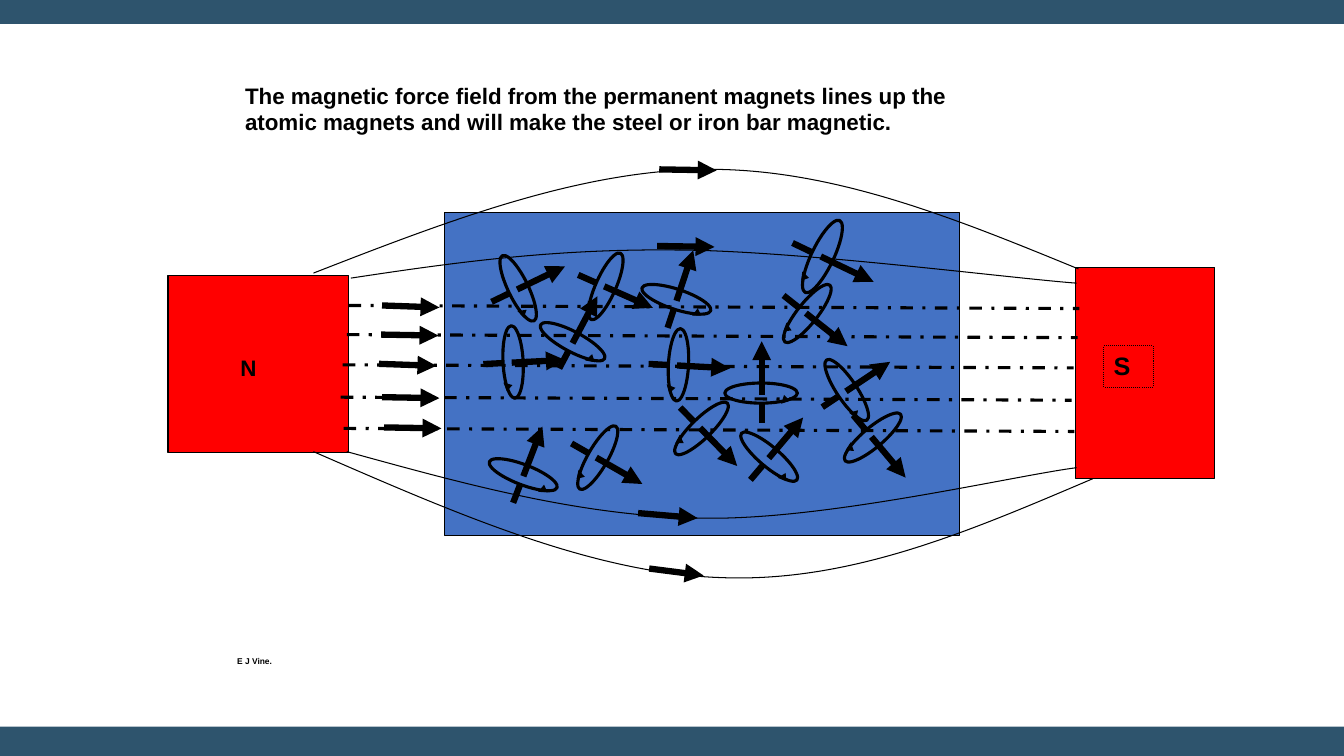
from dataclasses import dataclass
from math import cos, radians, sin

from lxml import etree
from pptx import Presentation
from pptx.dml.color import RGBColor
from pptx.enum.dml import MSO_LINE
from pptx.enum.shapes import MSO_CONNECTOR, MSO_SHAPE
from pptx.enum.text import MSO_ANCHOR, MSO_AUTO_SIZE, PP_ALIGN
from pptx.oxml.ns import qn
from pptx.util import Pt

RECT, OVAL = MSO_SHAPE.RECTANGLE, MSO_SHAPE.OVAL
STRAIGHT = MSO_CONNECTOR.STRAIGHT
DASH_DOT, DOTTED = MSO_LINE.DASH_DOT, MSO_LINE.ROUND_DOT
TOP, LEFT, NO_FIT = MSO_ANCHOR.TOP, PP_ALIGN.LEFT, MSO_AUTO_SIZE.NONE


@dataclass(frozen=True)
class Theme:
    """Colours, font, type sizes and line widths, in points."""
    ink: RGBColor = RGBColor(0, 0, 0)
    paper: RGBColor = RGBColor(0xFF, 0xFF, 0xFF)
    band: RGBColor = RGBColor(0x2E, 0x54, 0x6D)
    iron: RGBColor = RGBColor(0x44, 0x72, 0xC4)
    magnet: RGBColor = RGBColor(0xFF, 0, 0)
    font: str = "Arial"
    title: float = 16
    north: float = 16
    south: float = 18
    credit: float = 6
    thin: float = 0.75
    medium: float = 2.25
    thick: float = 4.5


T = Theme()

ATOMS = [
    (115.2, 52.5, 23.8, 1), (91.5, 92.1, -62.1, 1), (49, 106.5, -2.9, 1),
    (165.6, 61.8, -71.7, 1), (167.1, 108.6, 3.1, 1), (183.6, 154, 45.7, 1),
    (259.2, 71.9, 38.4, 1), (226.1, 128.8, -90, 1), (231.9, 174.2, -49.8, 1),
    (52.6, 53.9, -25.8, 1), (56.2, 187.1, -69, 1), (109.5, 174.9, 29.8, 1),
    (287.3, 126.6, -33.7, 1), (306, 160.5, 50, 1), (270, 31.2, 25.6, 1.1),
]
FIELD_ROWS = [(24.8, 140.6), (23.4, 163.7), (25.5, 186), (27.7, 119), (29, 98.2)]
FIELD_CURVES = [
    [(30.6, 78.7), (101.8, 67.9), (173.8, 57.8), (260.2, 58.6),
     (346.6, 58.6), (500.7, 78.7), (549, 82.3)],
    [(3.9, 75.1), (98.2, 38.4), (193.3, 1.7), (284, 1),
     (374.7, 0.2), (462.6, 36.2), (550.4, 72.2)],
    [(27.7, 202.6), (111.2, 225.6), (194, 248.6), (280.4, 250.1),
     (367.5, 252.2), (504.3, 219.8), (549, 214.1)],
    [(3.9, 202.6), (103.3, 245.8), (202.6, 289.7), (295.5, 292.6),
     (388.4, 296.2), (474.1, 258.7), (560.5, 222)],
]
FIELD_ARROWS = [
    (243.7, 286.1, 38.9, 5), (235.8, 246.5, 42.5, 3.6),
    (54.3, 185.3, 41, 0.7), (52.9, 163.7, 41, 0.7), (50.7, 139.9, 41, 1.4),
    (52.2, 119, 41, 0.7), (52.9, 98.2, 41, 1.4),
    (250.9, 1, 41, 0.7), (249.4, 55.7, 41, 0.7),
]


def add_box(shapes, kind, box, fill=None, line=None):
    """Add a preset shape with an optional fill and outline width."""
    sp = shapes.add_shape(kind, *map(Pt, box))
    sp.shadow.inherit = False
    if fill is None:
        sp.fill.background()
    else:
        sp.fill.solid()
        sp.fill.fore_color.rgb = fill
    if line is None:
        sp.line.fill.background()
    else:
        sp.line.color.rgb = T.ink
        sp.line.width = Pt(line)
    return sp


def add_line(shapes, start, end, width, arrow=False, dash=None):
    """Add a straight line, with an arrowhead or a dash if asked."""
    cn = shapes.add_connector(STRAIGHT, *map(Pt, (*start, *end)))
    cn.line.color.rgb = T.ink
    cn.line.width = Pt(width)
    if dash is not None:
        cn.line.dash_style = dash
    if arrow:
        ln = cn._element.spPr.find(qn("a:ln"))
        etree.SubElement(ln, qn("a:tailEnd"), type="triangle")
    etree.SubElement(cn._element.spPr, qn("a:effectLst"))


def write(sp, text, size):
    """Write one bold run at the top left of a shape."""
    tf = sp.text_frame
    tf.word_wrap = True
    tf.auto_size = NO_FIT
    tf.vertical_anchor = TOP
    p = tf.paragraphs[0]
    p.alignment = LEFT
    p.space_before = Pt(0)
    r = p.add_run()
    r.text = text
    r.font.name, r.font.size, r.font.bold = T.font, Pt(size), True
    r.font.color.rgb = T.ink


def add_text(s, box, text, size):
    """Add a text box."""
    write(s.shapes.add_textbox(*map(Pt, box)), text, size)


def add_title(s, box, text):
    """Fill the title placeholder and bring it in front of the panel."""
    sp = s.shapes.title
    sp.left, sp.top, sp.width, sp.height = map(Pt, box)
    write(sp, text, T.title)
    s.shapes._spTree.append(sp._element)


def add_backdrop(s, box):
    """Draw the dark backdrop and the white panel that leaves two bands."""
    x, y, w, h = box
    add_box(s.shapes, RECT, box, T.band)
    add_box(s.shapes, RECT, (x, y + 17.3, w, h - 38.2), T.paper)


def add_atom(s, cx, cy, angle, scale):
    """Draw an atomic magnet: an orbit with an arrow through its centre."""
    g = s.shapes.add_group_shape().shapes
    c, d = cos(radians(angle)) * scale, sin(radians(angle)) * scale

    def at(x, y):
        """Turn a point of the upright atom into a slide position."""
        return cx + x * c - y * d, cy + x * d + y * c

    w, h = 14.4 * scale, 51.8 * scale
    add_line(g, at(-21.3, 0.5), at(37, 0.5), T.thick, arrow=True)
    orbit = add_box(g, OVAL, (cx - w / 2, cy - h / 2, w, h), T.iron, T.medium)
    orbit.rotation = angle + 180
    add_line(g, at(-5.4, 16.6), at(-7.6, 14.4), T.thin, arrow=True)
    add_line(g, at(7.6, 0.5), at(-1, 0.5), T.thick)


def add_bar(s, box):
    """Draw the iron bar and its atomic magnets."""
    add_box(s.shapes, RECT, box, T.iron, T.thin)
    for cx, cy, angle, scale in ATOMS:
        add_atom(s, box[0] + cx, box[1] + cy, angle, scale)


def add_magnets(s, north, south):
    """Draw the two permanent magnets with their pole letters."""
    add_box(s.shapes, RECT, north, T.magnet, T.thin)
    add_text(s, (north[0] + 44.6, north[1] + 52.5, 56.9, 26.6), "N", T.north)
    add_box(s.shapes, RECT, south, T.magnet, T.thin)
    label = (south[0] + 20.2, south[1] + 56.2, 35.3, 29.5)
    sp = add_box(s.shapes, RECT, label, line=T.thin)
    sp.line.dash_style = DOTTED
    write(sp, "S", T.south)


def add_curve(s, points):
    """Draw an open curve, each three points after the first a cubic."""
    fb = s.shapes.build_freeform(*map(Pt, points[0]))
    fb.add_line_segments([(Pt(x), Pt(y)) for x, y in points[1:]], close=False)
    sp = fb.convert_to_shape()
    sp.shadow.inherit = False
    sp.fill.background()
    sp.line.color.rgb = T.ink
    sp.line.width = Pt(T.thin)
    outline = next(sp._element.iter(qn("a:path")))
    steps = outline.findall(qn("a:lnTo"))
    for i in range(0, len(steps), 3):
        cubic = etree.SubElement(outline, qn("a:cubicBezTo"))
        for step in steps[i:i + 3]:
            cubic.append(step[0])
            outline.remove(step)


def add_field(s, box):
    """Draw the field lines and their direction arrows."""
    x, y = box[:2]
    for dx, dy in FIELD_ROWS:
        start = x + dx, y + dy
        add_line(s.shapes, start, (start[0] + 522, start[1] + 2.2), T.medium, dash=DASH_DOT)
    for curve in FIELD_CURVES:
        add_curve(s, [(x + dx, y + dy) for dx, dy in curve])
    for dx, dy, w, h in FIELD_ARROWS:
        add_line(s.shapes, (x + dx, y + dy), (x + dx + w, y + dy + h), T.thick, arrow=True)


def main():
    """Build and save the slide."""
    prs = Presentation()
    prs.slide_width, prs.slide_height = Pt(960), Pt(540)
    s = prs.slides.add_slide(prs.slide_layouts[5])
    add_backdrop(s, (0, 0, 960, 540))
    add_bar(s, (317.5, 152, 368, 230.5))
    add_title(s, (167.8, 54.7, 519, 46),
              "The magnetic force field from the permanent magnets lines up the "
              "atomic magnets and will make the steel or iron bar magnetic.")
    add_magnets(s, (120, 196.8, 129, 126.5), (768.2, 190.8, 99.4, 151))
    add_field(s, (220, 120, 560, 297))
    add_text(s, (162.3, 465, 315, 14.4), "E J Vine.", T.credit)
    prs.save("out.pptx")


if __name__ == "__main__":
    main()
